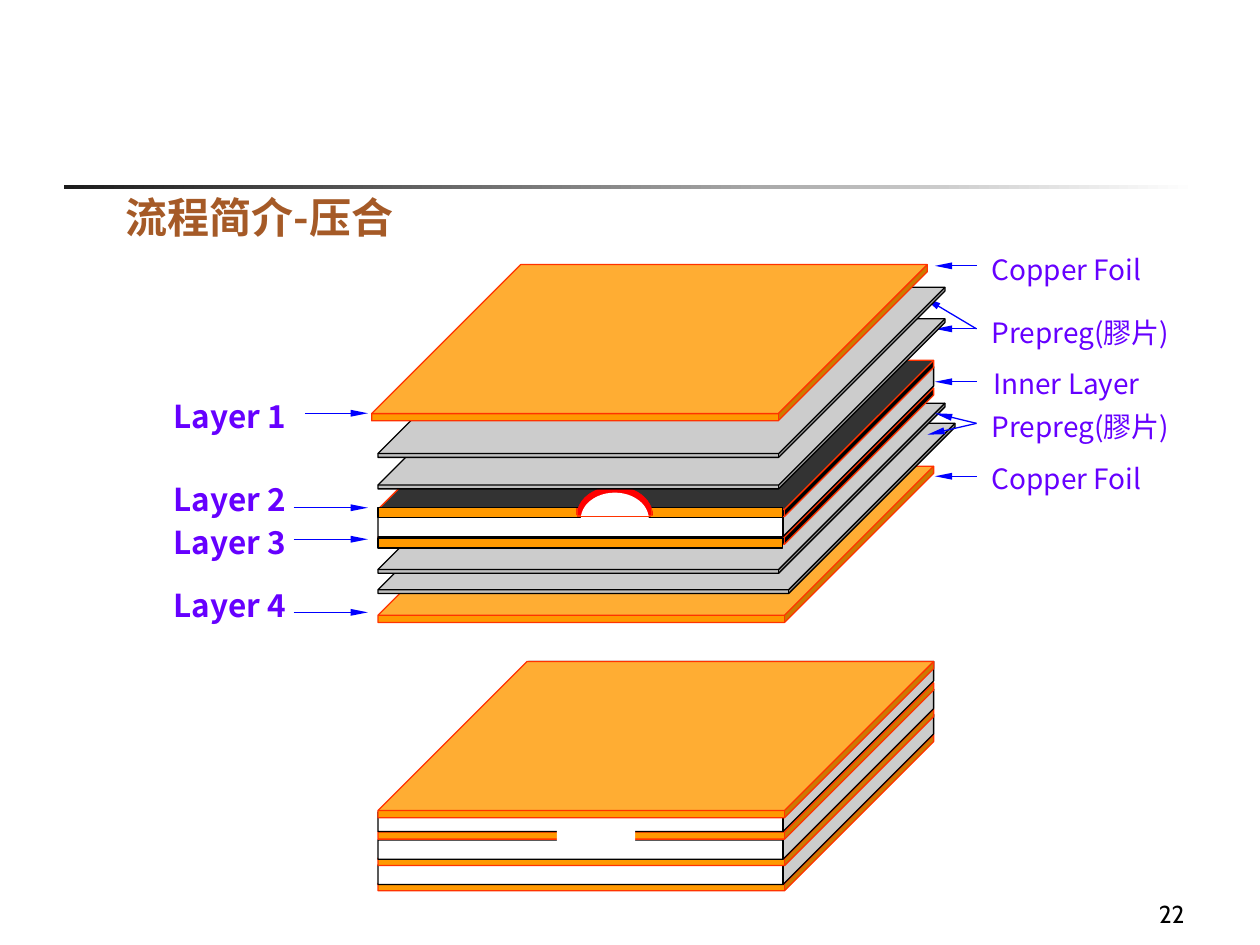
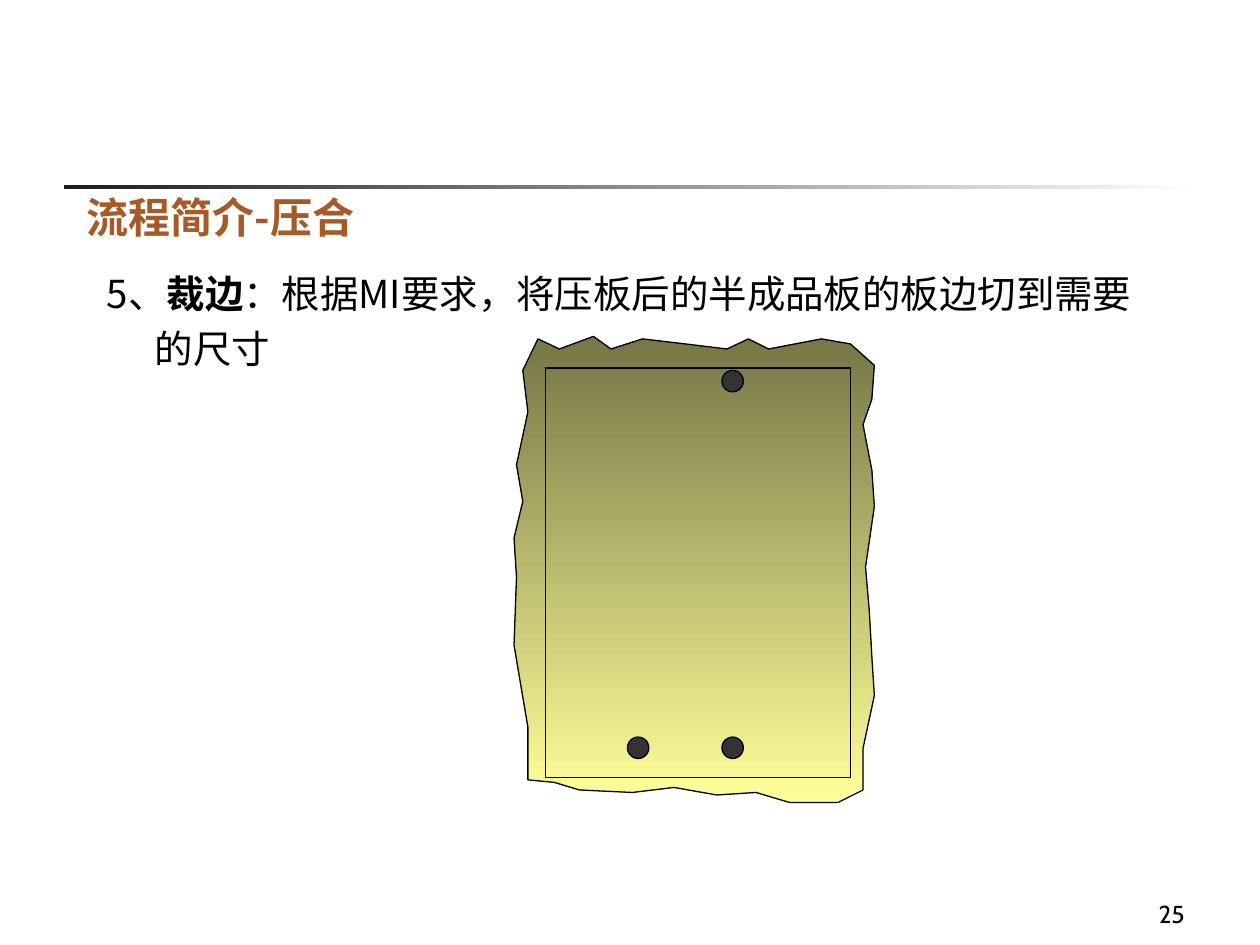
import math

import pptx
import pptx.dml.color
import pptx.enum.shapes
import pptx.enum.text
import pptx.oxml.ns
import pptx.util
from lxml import etree

RGB = pptx.dml.color.RGBColor
Inches = pptx.util.Inches
Pt = pptx.util.Pt
SHAPE = pptx.enum.shapes.MSO_SHAPE
ALIGN = pptx.enum.text.PP_ALIGN
ANCHOR = pptx.enum.text.MSO_ANCHOR
qn = pptx.oxml.ns.qn

BLACK = RGB(0x00, 0x00, 0x00)
WHITE = RGB(0xFF, 0xFF, 0xFF)
BAR_DARK = RGB(0x1C, 0x1C, 0x1C)
TITLE_BROWN = RGB(0xA5, 0x5A, 0x27)
LABEL_VIOLET = RGB(0x66, 0x00, 0xFF)
ARROW_BLUE = RGB(0x00, 0x00, 0xFF)
COPPER = RGB(0xFF, 0x99, 0x00)
COPPER_EDGE = RGB(0xFF, 0x33, 0x00)
RED = RGB(0xFF, 0x00, 0x00)
GREY = RGB(0xC0, 0xC0, 0xC0)
HOLE_GREY = RGB(0x33, 0x33, 0x33)
OLIVE = RGB(0x76, 0x76, 0x47)
PALE_YELLOW = RGB(0xFF, 0xFF, 0x99)

BODY_FONT = "Noto Sans CJK SC"
NUMBER_FONT = "Cabin"
TITLE = "流程简介-压合"

# Sheet kind: width, height, depth as a share of height, fill, edge
SHEETS = {
    "foil": (4.41, 1.24, 0.954, COPPER, COPPER_EDGE),
    "prepreg": (4.5, 1.35, 0.978, GREY, BLACK),
    "wide prepreg": (4.58, 1.35, 0.978, GREY, BLACK),
    "core": (4.41, 1.35, 0.886, WHITE, BLACK),
    "dark foil": (4.41, 1.24, 0.954, BLACK, COPPER_EDGE),
}
# Sheets from back to front: kind, left, top
LOWER_SHEETS = [("foil", 3, 3.7), ("wide prepreg", 3, 3.36), ("prepreg", 3, 3.2)]
INNER_LAYER = [("dark foil", 3, 3.08), ("core", 3, 2.91), ("dark foil", 3, 2.86)]
UPPER_SHEETS = [("prepreg", 3, 2.53), ("prepreg", 3, 2.28), ("foil", 2.95, 2.1)]
PRESSED_BOARD = [
    ("foil", 3, 5.83), ("core", 3, 5.67), ("foil", 3, 5.63), ("core", 3, 5.47),
    ("foil", 3, 5.42), ("core", 3, 5.25), ("foil", 3, 5.25),
]
INNER_FOIL_TOPS = [4.03, 4.27]

# Text, box top, arrow start x, arrow y
LAYER_LABELS = [
    ("Layer 1", 3.1, 2.42, 3.28),
    ("Layer 2", 3.76, 2.33, 4.03),
    ("Layer 3", 4.1, 2.33, 4.28),
    ("Layer 4", 4.6, 2.33, 4.86),
]
# Text, box left, box top, box width, arrow start y, arrow tips
MATERIAL_LABELS = [
    ("Copper Foil", 7.63, 1.95, 1.67, 2.11, [(7.42, 2.11)]),
    ("Prepreg(膠片)", 7.61, 2.45, 1.93, 2.61, [(7.42, 2.61), (7.33, 2.36)]),
    ("Inner Layer", 7.63, 2.86, 1.67, 3.03, [(7.42, 3.03)]),
    ("Prepreg(膠片)", 7.61, 3.2, 1.93, 3.36, [(7.36, 3.45), (7.42, 3.28)]),
    ("Copper Foil", 7.63, 3.61, 1.67, 3.78, [(7.42, 3.78)]),
]

TRIMMING = [
    ("5、", False),
    ("裁边", True),
    ("：根据MI要求，将压板后的半成品板的板边切到需要的尺寸", False),
]
TORN_EDGE = [
    (4.27, 2.69), (4.44, 2.77), (4.71, 2.67), (4.85, 2.77), (5.1, 2.69),
    (5.44, 2.73), (5.77, 2.77), (5.94, 2.69), (6.1, 2.77), (6.52, 2.69),
    (6.75, 2.73), (6.94, 2.9), (6.92, 3.17), (6.85, 3.37), (6.92, 3.73),
    (6.94, 4.02), (6.87, 4.5), (6.9, 4.85), (6.92, 5.21), (6.94, 5.52),
    (6.85, 5.94), (6.85, 6.27), (6.65, 6.37), (6.27, 6.37), (6, 6.29),
    (5.69, 6.31), (5.35, 6.25), (5.02, 6.29), (4.6, 6.27), (4.4, 6.21),
    (4.19, 6.19), (4.19, 5.77), (4.08, 5.12), (4.1, 4.58), (4.08, 4.27),
    (4.15, 3.98), (4.1, 3.69), (4.19, 3.27), (4.15, 2.94),
]
HOLES = [(4.98, 5.85), (5.73, 5.85), (5.73, 2.94)]
HOLE_SIZE = 0.17


def paint(shape, fill=None, edge=None, width=0.75):
    """Set fill (none, one colour or a pair for a gradient) and outline."""
    shape.shadow.inherit = False
    if fill is None:
        shape.fill.background()
    elif isinstance(fill, list):
        shape.fill.gradient()
        for stop, color in zip(shape.fill.gradient_stops, fill):
            stop.color.rgb = color
    else:
        shape.fill.solid()
        shape.fill.fore_color.rgb = fill
    if edge is None:
        shape.line.fill.background()
    else:
        shape.line.color.rgb = edge
        shape.line.width = Pt(width)
    return shape


def add_preset(page, kind, left, top, width, height, fill=None, edge=None):
    shape = page.shapes.add_shape(
        kind, Inches(left), Inches(top), Inches(width), Inches(height))
    return paint(shape, fill, edge)


def add_outline(page, points, fill, edge=None, width=0.75):
    corners = [(Inches(x), Inches(y)) for x, y in points]
    builder = page.shapes.build_freeform(*corners[0])
    builder.add_line_segments(corners[1:], close=True)
    return paint(builder.convert_to_shape(), fill, edge, width)


def add_line(page, start, end, color, width=0.75, arrow=False):
    line = page.shapes.add_connector(
        pptx.enum.shapes.MSO_CONNECTOR.STRAIGHT,
        *(Inches(value) for value in (*start, *end)))
    line.line.color.rgb = color
    line.line.width = Pt(width)
    if arrow:
        etree.SubElement(line.line._get_or_add_ln(), qn("a:tailEnd"),
                         type="triangle", w="sm", len="lg")
    etree.SubElement(line._element.spPr, qn("a:effectLst"))


def add_text(page, spans, area, size, color, bold=False, font=BODY_FONT,
             align=ALIGN.LEFT, anchor=ANCHOR.MIDDLE, wrap=True):
    box = page.shapes.add_textbox(*(Inches(value) for value in area))
    frame = box.text_frame
    frame.word_wrap = wrap
    frame.vertical_anchor = anchor
    para = frame.paragraphs[0]
    para.alignment = align
    para.font.name = font
    para.font.size = Pt(size)
    para.font.bold = bold
    para.font.color.rgb = color
    defaults = para._p.get_or_add_pPr().find(qn("a:defRPr"))
    etree.SubElement(defaults, qn("a:ea"), typeface=font)
    for text, strong in spans:
        span = para.add_run()
        span.text = text
        if strong:
            span.font.bold = True
    return para


def add_page(deck, number, title_left):
    page = deck.slides.add_slide(deck.slide_layouts[6])
    bar = add_preset(page, SHAPE.RECTANGLE, 0.51, 1.47, 9, 0.03, [BAR_DARK, WHITE])
    bar.fill.gradient_angle = 0
    add_text(page, [(number, False)], (7.42, 6.92, 2.08, 0.5), 14, BLACK,
             font=NUMBER_FONT, align=ALIGN.RIGHT, anchor=ANCHOR.BOTTOM)
    add_text(page, [(TITLE, False)], (title_left, 1.55, 3.42, 0.42), 24,
             TITLE_BROWN, bold=True, anchor=ANCHOR.BOTTOM)
    return page


def add_sheets(page, sheets):
    for kind, left, top in sheets:
        width, height, depth, fill, edge = SHEETS[kind]
        cube = add_preset(page, SHAPE.CUBE, left, top, width, height, fill, edge)
        cube.adjustments[0] = depth


def dome(center, base, half_width, height, steps=24):
    """Points of the upper half of an ellipse, from left to right."""
    angles = [math.pi * (1 - step / steps) for step in range(steps + 1)]
    return [(center + half_width * math.cos(angle), base - height * math.sin(angle))
            for angle in angles]


def add_labels(page):
    for text, top, start, arrow_y in LAYER_LABELS:
        add_line(page, (start, arrow_y), (2.92, arrow_y), ARROW_BLUE, arrow=True)
        add_text(page, [(text, False)], (1.2, top, 1.25, 0.4), 18, LABEL_VIOLET,
                 bold=True, align=ALIGN.CENTER, wrap=False)
    for text, left, top, width, start_y, tips in MATERIAL_LABELS:
        for tip in tips:
            add_line(page, (7.75, start_y), tip, ARROW_BLUE, arrow=True)
        add_text(page, [(text, False)], (left, top, width, 0.37), 16, LABEL_VIOLET,
                 align=ALIGN.CENTER, wrap=False)


def add_inner_layer(page):
    add_sheets(page, INNER_LAYER)
    upper, lower = INNER_FOIL_TOPS
    add_preset(page, SHAPE.RECTANGLE, 3, upper, 3.21, 0.08, COPPER, BLACK)
    add_outline(page, dome(4.88, 4.09, 0.3, 0.23), RED, RED, 0.25)
    add_outline(page, dome(4.88, 4.12, 0.27, 0.21), WHITE)
    for side in (4.58, 5.17):
        add_line(page, (side, 4.09), (side, upper), COPPER_EDGE)
    add_line(page, (4.58, 4.1), (5.17, 4.1), COPPER_EDGE, 1)
    add_preset(page, SHAPE.RECTANGLE, 3, lower, 3.21, 0.08, COPPER, BLACK)


def build_lamination(deck):
    page = add_page(deck, "22", 0.9)
    add_sheets(page, LOWER_SHEETS)
    add_labels(page)
    add_inner_layer(page)
    add_sheets(page, UPPER_SHEETS)
    add_sheets(page, PRESSED_BOARD)
    add_preset(page, SHAPE.RECTANGLE, 4.42, 6.5, 0.62, 0.31, WHITE)


def build_trimming(deck):
    page = add_page(deck, "25", 0.59)
    para = add_text(page, TRIMMING, (0.75, 2.02, 8.5, 5.04), 22, BLACK,
                    anchor=ANCHOR.TOP)
    para.line_spacing = 1.2
    properties = para._p.get_or_add_pPr()
    properties.set("marL", str(Inches(0.38)))
    properties.set("indent", str(-Inches(0.38)))
    board = add_outline(page, TORN_EDGE, [OLIVE, PALE_YELLOW], BLACK)
    board.fill.gradient_angle = 270
    for left, top in HOLES:
        add_preset(page, SHAPE.OVAL, left, top, HOLE_SIZE, HOLE_SIZE, HOLE_GREY, BLACK)
    add_preset(page, SHAPE.RECTANGLE, 4.33, 2.92, 2.42, 3.25, edge=BLACK)


def main():
    deck = pptx.Presentation()
    deck.slide_width = Inches(10)
    deck.slide_height = Inches(7.5)
    build_lamination(deck)
    build_trimming(deck)
    deck.save("out.pptx")


if __name__ == "__main__":
    main()
